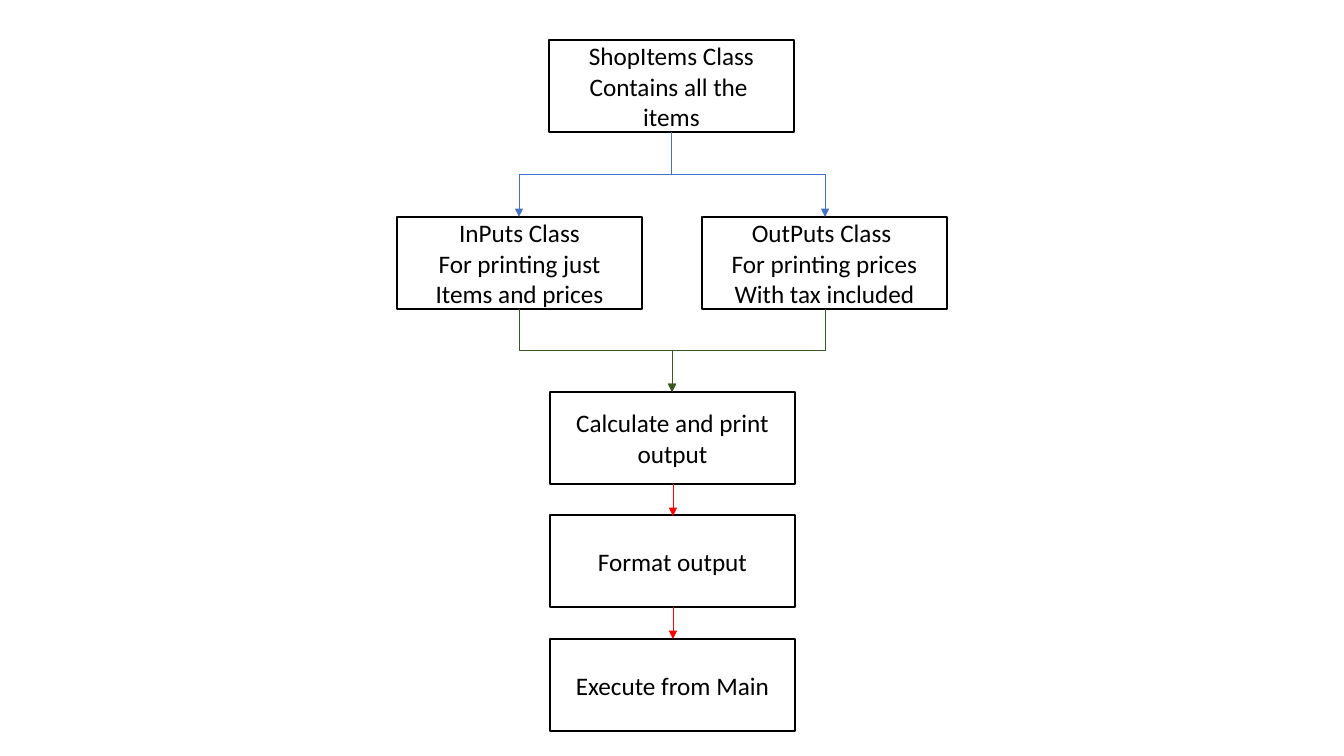
from lxml import etree
from pptx import Presentation, util as u
from pptx.dml.color import RGBColor
from pptx.enum import shapes, text
from pptx.oxml.ns import qn

BLACK = RGBColor(0, 0, 0)
BLUE = RGBColor(0x44, 0x72, 0xC4)
GREEN = RGBColor(0x38, 0x57, 0x23)
RED = RGBColor(0xFF, 0, 0)


def px(n):
    return u.Emu(round(n * 914400 / 100.8))


def link(x1, y1, x2, y2, color):
    bent = shapes.MSO_CONNECTOR.ELBOW
    if abs(x2 - x1) < 2:
        line = slide.shapes.add_connector(
            shapes.MSO_CONNECTOR.STRAIGHT, px(x1), px(y1), px(x2), px(y2))
    else:
        mid, half = (x1 + x2) / 2, (y2 - y1) / 2
        center, reach = (y1 + y2) / 2, abs(x2 - x1) / 2
        side = 1 if x2 > x1 else -1
        line = slide.shapes.add_connector(
            bent, px(mid + side * half), px(center - reach),
            px(mid - side * half), px(center + reach))
        turn = 270 if side > 0 else 90
        line.element.spPr.find(qn("a:xfrm")).set("rot", str(turn * 60000))
    line.line.color.rgb = color
    line.line.width = u.Pt(0.5)
    tail = etree.SubElement(line.line._get_or_add_ln(), qn("a:tailEnd"))
    tail.set("type", "triangle")
    etree.SubElement(line.element.spPr, qn("a:effectLst"))


deck = Presentation()
deck.slide_width, deck.slide_height = px(1344), px(756)
slide = deck.slides.add_slide(deck.slide_layouts[6])

WIDE, HIGH = 245, 92
boxes = [
    (549, 40, ["ShopItems Class", "Contains all the ", "items"]),
    (397, 217, ["InPuts Class", "For printing just", "Items and prices"]),
    (702, 217, ["OutPuts Class ", "For printing prices", "With tax included"]),
    (550, 392, ["Calculate and print", "output"]),
    (550, 515, ["Format output"]),
    (550, 639, ["Execute from Main"]),
]
for left, top, lines in boxes:
    box = slide.shapes.add_shape(
        shapes.MSO_SHAPE.RECTANGLE, px(left), px(top), px(WIDE), px(HIGH))
    box.shadow.inherit = False
    box.fill.background()
    box.line.color.rgb = BLACK
    box.line.width = u.Pt(1)
    frame = box.text_frame
    frame.word_wrap = True
    frame.vertical_anchor = text.MSO_ANCHOR.MIDDLE
    frame.text = "\n".join(lines)
    for para in frame.paragraphs:
        para.alignment = text.PP_ALIGN.CENTER
        para.font.name = "Calibri"
        para.font.size = u.Pt(18)
        para.font.color.rgb = BLACK

for x in (519, 825):
    link(671, 132, x, 217, BLUE)
    link(x, 309, 672, 392, GREEN)
for top in (484, 607):
    link(673, top, 673, top + 32, RED)

deck.save("out.pptx")
